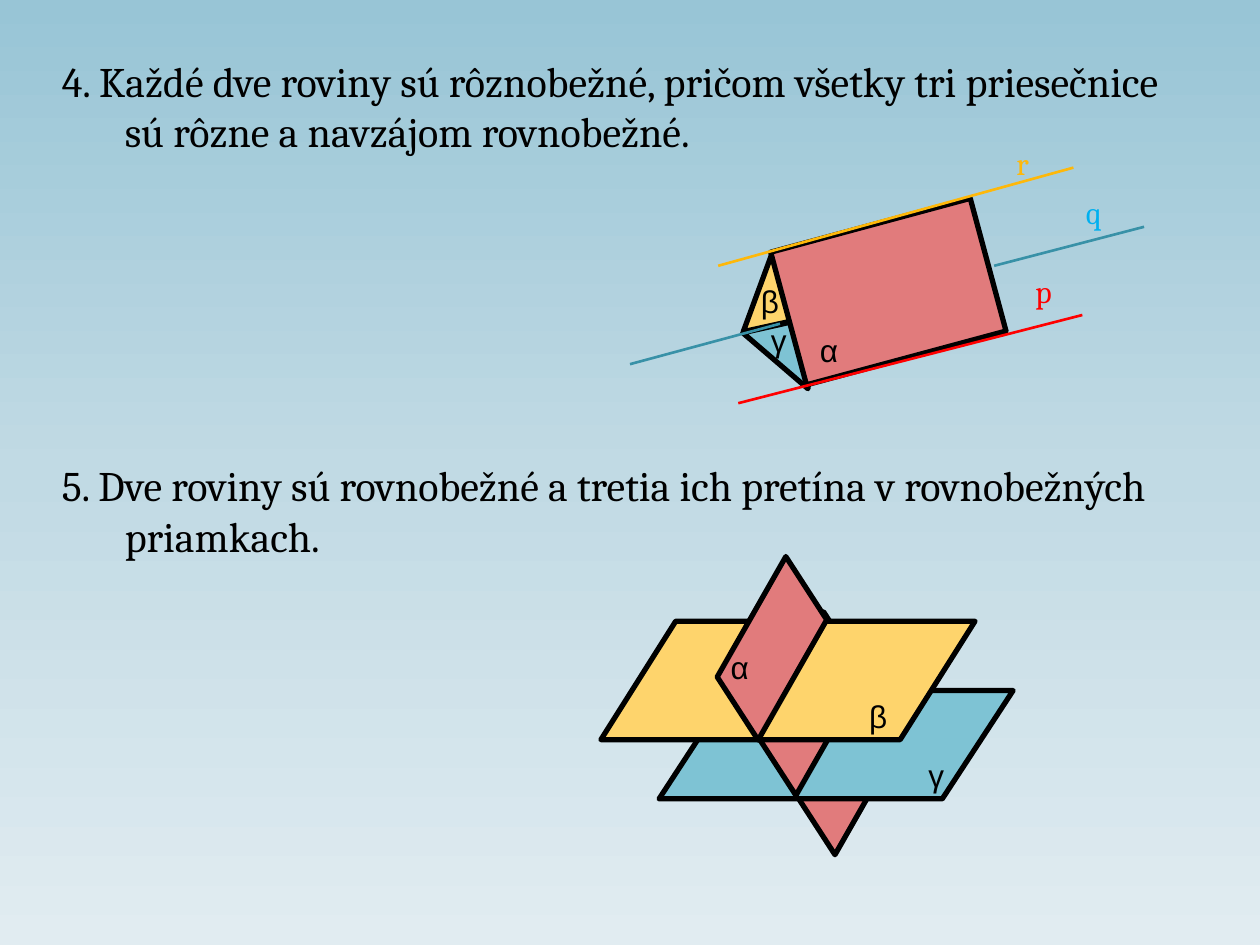
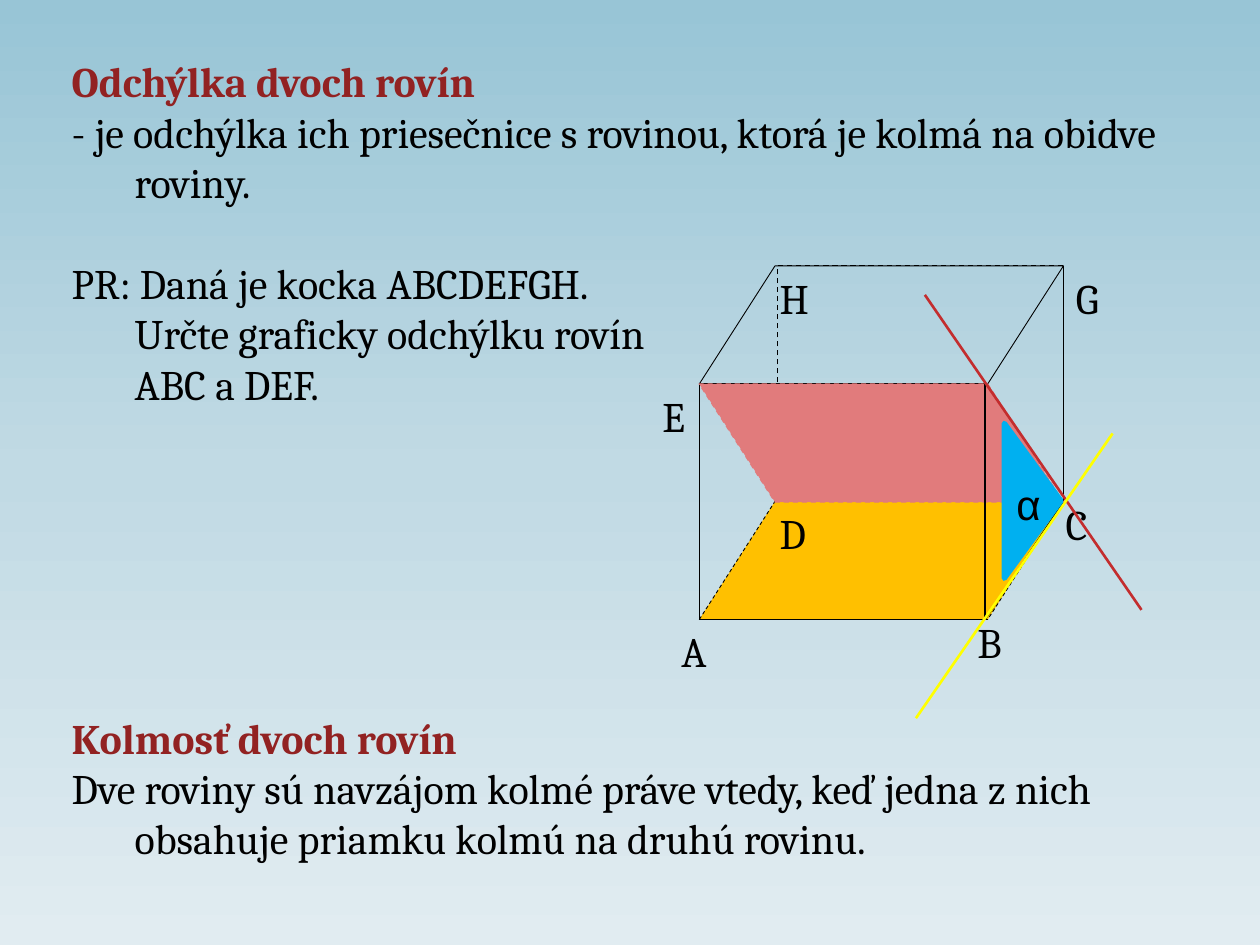
from copy import deepcopy
from dataclasses import dataclass
from typing import Sequence

from lxml import etree
from pptx import Presentation
from pptx.dml.color import RGBColor
from pptx.enum.dml import MSO_LINE
from pptx.enum.shapes import MSO_CONNECTOR, MSO_SHAPE
from pptx.enum.text import MSO_ANCHOR, MSO_AUTO_SIZE, PP_ALIGN
from pptx.oxml.ns import qn
from pptx.util import Pt

STRAIGHT = MSO_CONNECTOR.STRAIGHT
DASH = MSO_LINE.DASH
TOP = MSO_ANCHOR.TOP
NO_AUTOFIT = MSO_AUTO_SIZE.NONE
LEFT = PP_ALIGN.LEFT
SLANTED = MSO_SHAPE.FLOWCHART_DATA
PROCESS = MSO_SHAPE.FLOWCHART_PROCESS
TRIANGLE = MSO_SHAPE.ISOSCELES_TRIANGLE
PARALLELOGRAM = MSO_SHAPE.PARALLELOGRAM
RECTANGLE = MSO_SHAPE.RECTANGLE

TEXT_FONT, GREEK_FONT = "Cambria", "Arial"
BLACK, HEADING = "000000", "922222"
PINK, SAND, TEAL = "E17B7C", "FED46C", "7EC3D4"
RED, ORANGE, DEEP_TEAL, SKY = "FF0000", "FEB80A", "3891A7", "00B0F0"
GOLD, CRIMSON, YELLOW = "FFC000", "C32D2E", "FFFF00"
BACKGROUND_STOPS = [(0, "98C5D6"), (0.5, "C1DAE4"), (1, "E1ECF1")]

TEXT_SIZE = 24
LINE_PITCH = 28.9
INDENT = 36
TEXT_TOP = 28.1


def rgb(color: str) -> RGBColor:
    return RGBColor.from_string(color)


def format_line(line, color: str, width: float, dashed: bool) -> None:
    line.color.rgb = rgb(color)
    line.width = Pt(width)
    if dashed:
        line.dash_style = DASH


def format_font(font, name: str, size: float, color: str, bold: bool = False) -> None:
    font.name = name
    font.size = Pt(size)
    font.bold = bold
    font.color.rgb = rgb(color)


@dataclass
class Plane:
    kind: int
    left: float
    top: float
    width: float
    height: float
    fill: str | None = None
    line: str = BLACK
    line_width: float = 3
    rotation: float = 0
    adjustment: float | None = None
    dashed: bool = False
    flipped: bool = False

    def draw(self, shapes) -> None:
        shape = shapes.add_shape(
            self.kind, Pt(self.left), Pt(self.top), Pt(self.width), Pt(self.height))
        shape.shadow.inherit = False
        shape.rotation = self.rotation
        if self.adjustment is not None:
            shape.adjustments[0] = self.adjustment
        if self.flipped:
            shape.element.spPr.find(qn("a:xfrm")).set("flipH", "1")
        if self.fill:
            shape.fill.solid()
            shape.fill.fore_color.rgb = rgb(self.fill)
        else:
            shape.fill.background()
        format_line(shape.line, self.line, self.line_width, self.dashed)


@dataclass
class Segment:
    start: tuple[float, float]
    end: tuple[float, float]
    color: str = BLACK
    width: float = 1.5

    def draw(self, shapes) -> None:
        points = [Pt(value) for value in (*self.start, *self.end)]
        connector = shapes.add_connector(STRAIGHT, *points)
        format_line(connector.line, self.color, self.width, False)
        etree.SubElement(connector.element.spPr, qn("a:effectLst"))


@dataclass
class Label:
    text: str
    left: float
    top: float
    color: str = BLACK
    font: str = TEXT_FONT
    size: float = 18

    def draw(self, shapes) -> None:
        box = shapes.add_textbox(
            Pt(self.left), Pt(self.top), Pt(30), Pt(self.size * 1.2 + 7.2))
        box.text_frame.word_wrap = True
        paragraph = box.text_frame.paragraphs[0]
        paragraph.text = self.text
        format_font(paragraph.runs[0].font, self.font, self.size, self.color)


@dataclass
class Line:
    """A paragraph with the number of empty lines above it."""
    text: str
    gap: int = 0
    heading: bool = False
    hanging: bool = True


def greek(text: str, left: float, top: float, size: float = 18) -> Label:
    return Label(text, left, top, font=GREEK_FONT, size=size)


def draw_figure(slide, items: Sequence[Plane | Segment | Label]) -> None:
    group = slide.shapes.add_group_shape()
    for item in items:
        item.draw(group.shapes)


def fill_placeholder(placeholder, left: float, top: float, width: float,
                     height: float, lines: Sequence[Line]) -> None:
    placeholder.left, placeholder.top = Pt(left), Pt(top)
    placeholder.width, placeholder.height = Pt(width), Pt(height)
    frame = placeholder.text_frame
    frame.text = "\n".join(line.text for line in lines)
    frame.word_wrap = True
    frame.auto_size = NO_AUTOFIT
    frame.vertical_anchor = TOP
    for paragraph, line in zip(frame.paragraphs, lines):
        paragraph.alignment = LEFT
        paragraph.space_before = Pt(line.gap * LINE_PITCH)
        properties = paragraph._p.get_or_add_pPr()
        properties.set("marL", str(Pt(INDENT)))
        properties.set("indent", str(Pt(-INDENT if line.hanging else 0)))
        etree.SubElement(properties, qn("a:buNone"))
        color = HEADING if line.heading else BLACK
        format_font(paragraph.runs[0].font, TEXT_FONT, TEXT_SIZE, color, line.heading)


def set_background(master) -> None:
    fill = master.background.fill
    fill.gradient()
    fill.gradient_angle = 270
    stop_list = master.element.find(".//" + qn("a:gsLst"))
    stop_list.insert(1, deepcopy(stop_list[0]))
    for stop, (position, color) in zip(fill.gradient_stops, BACKGROUND_STOPS):
        stop.position = position
        stop.color.rgb = rgb(color)


def build_plane_positions(presentation) -> None:
    slide = presentation.slides.add_slide(presentation.slide_layouts[1])
    title = slide.shapes.title.element
    title.getparent().remove(title)
    fill_placeholder(slide.placeholders[1], 28.1, TEXT_TOP, 658, 298, [
        Line("4. Každé dve roviny sú rôznobežné, pričom všetky tri priesečnice "
             "sú rôzne a navzájom rovnobežné."),
        Line("5. Dve roviny sú rovnobežné a tretia ich pretína v rovnobežných "
             "priamkach.", gap=6),
    ])
    draw_figure(slide, [
        Plane(SLANTED, 419, 136.8, 126.7, 39.6, SAND, rotation=347.6),
        Plane(TRIANGLE, 429.8, 175.7, 49, 34.6, TEAL, rotation=40.6, adjustment=0.529),
        Plane(PROCESS, 448.6, 127.4, 118.1, 78.5, PINK, rotation=344.9),
        Segment((421.9, 230.4), (618.5, 180), RED),
        Segment((410.4, 151.9), (613.4, 95.8), ORANGE),
        Segment((360, 208.1), (445.7, 185), DEEP_TEAL),
        Segment((568.1, 151.9), (653.8, 129.6), DEEP_TEAL),
        Label("p", 584.6, 151.9, RED),
        Label("q", 613.4, 106.6, SKY),
        Label("r", 573.8, 78.5, ORANGE),
        greek("γ", 433.4, 180),
        greek("α", 461.5, 185.8),
        greek("β", 427.7, 157.7),
    ])
    lower, middle, upper = [
        Plane(SLANTED, left, top, 98.9, 38.2, PINK, rotation=299.7)
        for left, top in [(435.6, 416.9), (413.3, 383), (391.7, 351.4)]]
    draw_figure(slide, [
        lower,
        Plane(SLANTED, 376.6, 394.6, 202.3, 61.9, TEAL),
        middle,
        Plane(SLANTED, 343.4, 355, 213.8, 67.7, SAND),
        upper,
        greek("α", 410.4, 366.5),
        greek("β", 489.6, 394.6),
        greek("γ", 523.4, 428.4),
    ])


def build_plane_angle(presentation) -> None:
    slide = presentation.slides.add_slide(presentation.slide_layouts[1])
    fill_placeholder(slide.shapes.title, 33.8, TEXT_TOP, 641.5, 36,
                     [Line("Odchýlka dvoch rovín", heading=True)])
    fill_placeholder(slide.placeholders[1], 33.8, TEXT_TOP + LINE_PITCH, 641.5, 443, [
        Line("- je odchýlka ich priesečnice s rovinou, ktorá je kolmá na obidve roviny."),
        Line("PR: Daná je kocka ABCDEFGH.", gap=1),
        Line("Určte graficky odchýlku rovín", hanging=False),
        Line("ABC a DEF.", hanging=False),
        Line("Kolmosť dvoch rovín", gap=6, heading=True),
        Line("Dve roviny sú navzájom kolmé práve vtedy, keď jedna z nich "
             "obsahuje priamku kolmú na druhú rovinu."),
    ])

    edge, height = 163.4, 134.6
    shift, rise = 44.7, 67.5
    front_left, back_top = 399.6, 151.9
    front_right, back_left = front_left + edge, front_left + shift
    back_right = back_left + edge
    front_top, back_bottom = back_top + rise, back_top + height
    front_bottom = front_top + height

    def slanted_face(top: float, **style) -> Plane:
        return Plane(PARALLELOGRAM, front_left, top, edge + shift, rise,
                     adjustment=0.641, **style)

    draw_figure(slide, [
        Segment((back_right, back_top), (back_right, back_bottom), width=0.75),
        slanted_face(back_bottom, fill=GOLD, line_width=0.5, dashed=True),
        Plane(RECTANGLE, front_left, front_top, edge, height, line_width=0.75),
        slanted_face(back_top, line_width=0.5),
        Plane(RECTANGLE, back_left, back_top, edge, height, line_width=0.75, dashed=True),
        Segment((back_right, back_bottom), (front_right, front_bottom), width=0.75),
        *[Label(vertex, left, top, size=TEXT_SIZE) for vertex, left, top in [
            ("A", 382.3, 354.2), ("B", 551.5, 348.5), ("C", 601.9, 281.5),
            ("D", 438.5, 286.6), ("E", 371.5, 219.6), ("G", 607.7, 151.9),
            ("H", 438.5, 151.9)]],
        slanted_face(front_top, fill=PINK, line=PINK, line_width=0.75,
                     dashed=True, flipped=True),
        Segment((front_right, front_top), (front_right, 298.1), width=1),
    ])
    for item in [
        Segment((528.5, 168.5), (652.3, 348.5), CRIMSON),
        Segment((523.4, 410.4), (635.8, 247.7), YELLOW),
        Plane(TRIANGLE, 545.8, 270, 88.6, 32.4, SKY, line=SKY, rotation=90),
        greek("α", 573.8, 270, size=TEXT_SIZE),
    ]:
        item.draw(slide.shapes)


def main() -> None:
    presentation = Presentation()
    presentation.slide_width, presentation.slide_height = Pt(720), Pt(540)
    set_background(presentation.slide_master)
    build_plane_positions(presentation)
    build_plane_angle(presentation)
    presentation.save("out.pptx")


if __name__ == "__main__":
    main()
